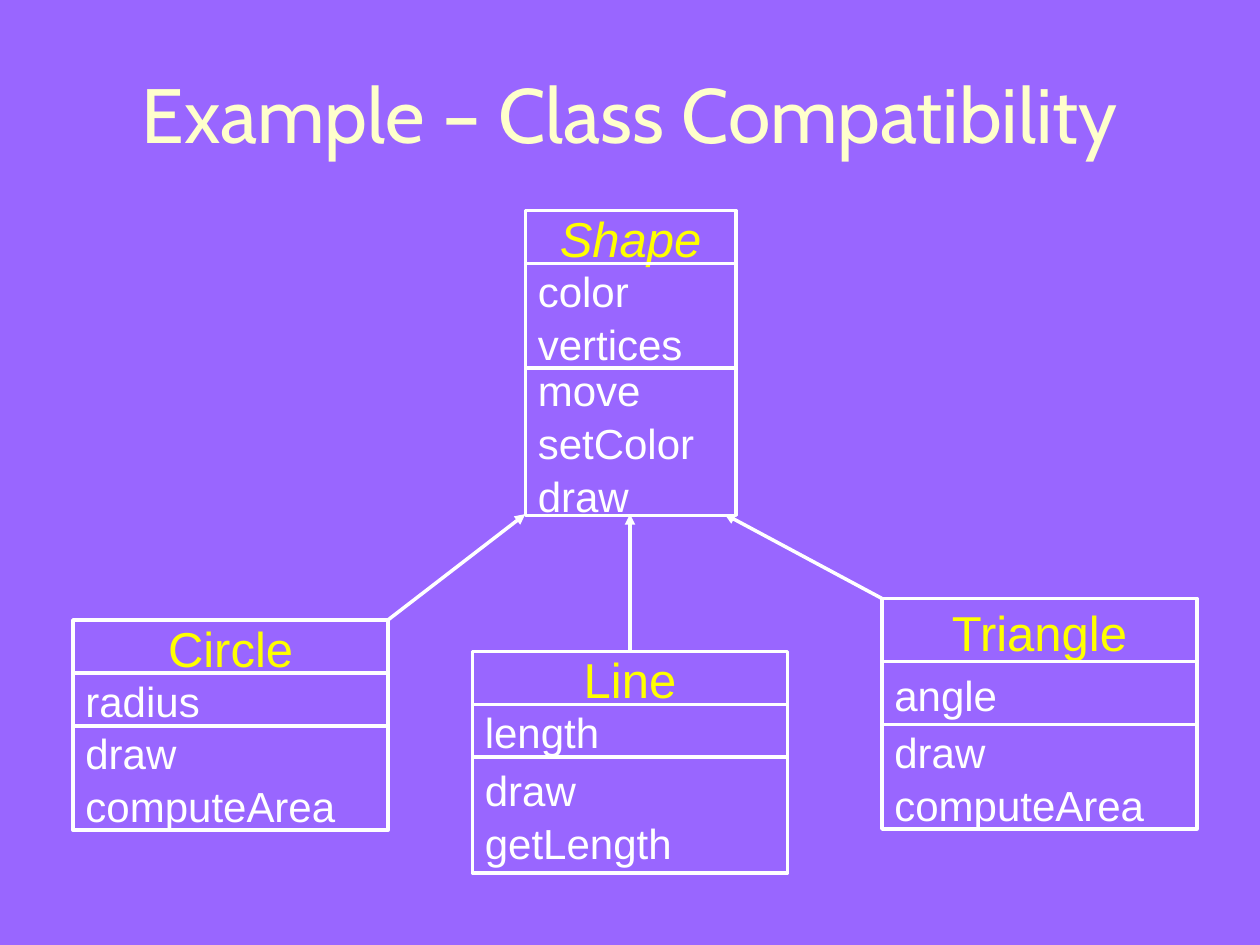
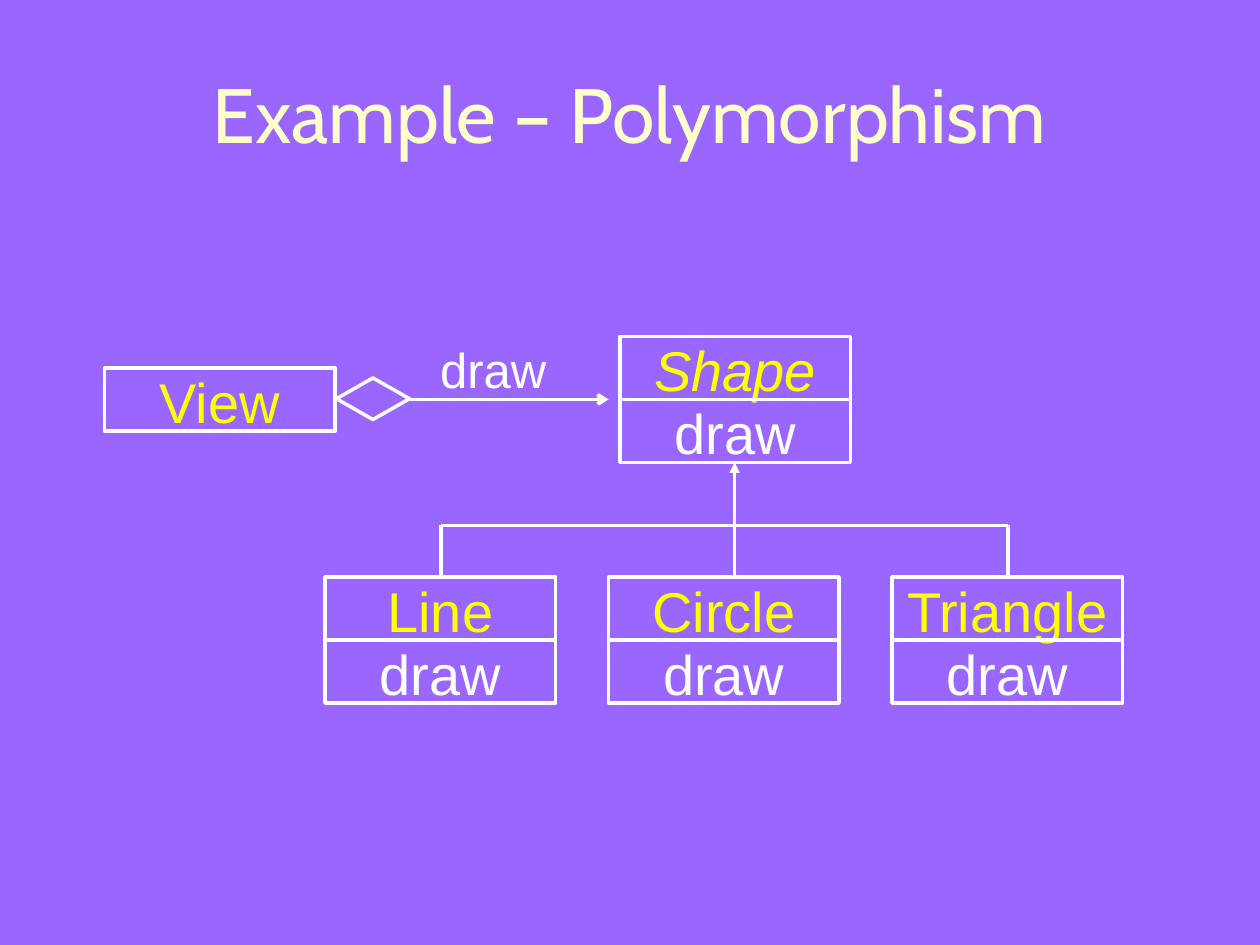
"""Build two slides of class diagrams: class compatibility and polymorphism."""
from lxml import etree
from pptx import Presentation
from pptx.dml.color import RGBColor
from pptx.enum.shapes import MSO_CONNECTOR, MSO_SHAPE
from pptx.enum.text import MSO_ANCHOR, MSO_AUTO_SIZE, PP_ALIGN
from pptx.oxml.ns import qn
from pptx.util import Inches, Pt

RECTANGLE, DIAMOND = MSO_SHAPE.RECTANGLE, MSO_SHAPE.DIAMOND
STRAIGHT = MSO_CONNECTOR.STRAIGHT
LEFT, CENTER = PP_ALIGN.LEFT, PP_ALIGN.CENTER
PURPLE, CREAM, YELLOW, WHITE = "9966FF", "FFFFCC", "FFFF00", "FFFFFF"
LINE_WIDTH = Pt(2)
FRAME_FORMAT = {
    "word_wrap": True,
    "auto_size": MSO_AUTO_SIZE.NONE,
    "vertical_anchor": MSO_ANCHOR.MIDDLE,
    "margin_left": Inches(0.1),
    "margin_right": Inches(0.1),
    "margin_top": Inches(0.05),
    "margin_bottom": Inches(0.05),
}


def write_text(shape, text, size, color, align=CENTER, font="Arial", italic=False):
    frame = shape.text_frame
    frame.text = text
    for name, value in FRAME_FORMAT.items():
        setattr(frame, name, value)
    font_format = {"name": font, "size": Pt(size), "italic": italic, "bold": False}
    for paragraph in frame.paragraphs:
        paragraph.alignment = align
        paragraph.line_spacing = 1.05
        for run in paragraph.runs:
            for name, value in font_format.items():
                setattr(run.font, name, value)
            run.font.color.rgb = RGBColor.from_string(color)


def style_outline(shape):
    shape.line.color.rgb = RGBColor.from_string(WHITE)
    shape.line.width = LINE_WIDTH


DIAGRAMS = [
    {
        "title": "Example – Class Compatibility",
        "name_size": 28, "member_size": 24, "member_align": LEFT,
        "classes": [
            (4.17, 1.67, 1.67, [(0.42, "Shape"), (0.83, "color\nvertices"),
                                (1.17, "move\nsetColor\ndraw")]),
            (0.58, 4.92, 2.5, [(0.42, "Circle"), (0.42, "radius"),
                               (0.83, "draw\ncomputeArea")]),
            (3.75, 5.17, 2.5, [(0.42, "Line"), (0.42, "length"),
                               (0.92, "draw\ngetLength")]),
            (7, 4.75, 2.5, [(0.5, "Triangle"), (0.5, "angle"),
                            (0.83, "draw\ncomputeArea")]),
        ],
        "links": [
            (3.08, 4.92, 4.17, 4.08, "triangle"),
            (5, 5.17, 5, 4.08, "triangle"),
            (7, 4.75, 5.75, 4.08, "triangle"),
        ],
    },
    {
        "title": "Example – Polymorphism",
        "name_size": 32, "member_size": 32, "member_align": CENTER,
        "classes": [
            (0.83, 2.92, 1.83, [(0.5, "View")]),
            (4.92, 2.67, 1.83, [(0.5, "Shape"), (0.5, "draw")]),
        ] + [
            (2.58 + 2.25 * column, 4.58, 1.83, [(0.5, name), (0.5, "draw")])
            for column, name in enumerate(["Line", "Circle", "Triangle"])
        ],
        "links": [
            (5.83, 4.17, 5.83, 3.67, "triangle"),
            (3.5, 4.17, 8, 4.17, None),
            (3.25, 3.17, 4.83, 3.17, "arrow"),
        ] + [(x, 4.17, x, 4.58, None) for x in (3.5, 5.83, 8)],
    },
]

deck = Presentation()
deck.slide_width, deck.slide_height = Inches(10), Inches(7.5)
background = deck.slide_master.background.fill
background.solid()
background.fore_color.rgb = RGBColor.from_string(PURPLE)

for diagram in DIAGRAMS:
    slide = deck.slides.add_slide(deck.slide_layouts[5])
    title = slide.shapes.title
    title.left, title.top = Inches(0.33), Inches(0.25)
    title.width, title.height = Inches(9.34), Inches(1.25)
    write_text(title, diagram["title"], 44, CREAM, font="Cabin")

    for x1, y1, x2, y2, arrowhead in diagram["links"]:
        link = slide.shapes.add_connector(
            STRAIGHT, Inches(x1), Inches(y1), Inches(x2), Inches(y2))
        style_outline(link)
        if arrowhead:
            etree.SubElement(link.line._get_or_add_ln(), qn("a:tailEnd"), type=arrowhead)
        etree.SubElement(link._element.spPr, qn("a:effectLst"))

    for left, top, width, compartments in diagram["classes"]:
        for row, (height, text) in enumerate(compartments):
            compartment = slide.shapes.add_shape(
                RECTANGLE, Inches(left), Inches(top), Inches(width), Inches(height))
            compartment.shadow.inherit = False
            compartment.fill.background()
            style_outline(compartment)
            if row == 0:
                write_text(compartment, text, diagram["name_size"], YELLOW,
                           italic=text == "Shape")
            else:
                write_text(compartment, text, diagram["member_size"], WHITE,
                           diagram["member_align"])
            top += height

aggregation = slide.shapes.add_shape(
    DIAMOND, Inches(2.67), Inches(3), Inches(0.58), Inches(0.33))
aggregation.shadow.inherit = False
aggregation.fill.background()
style_outline(aggregation)

call_label = slide.shapes.add_textbox(Inches(3), Inches(2.67), Inches(1.83), Inches(0.5))
write_text(call_label, "draw", 28, WHITE)

deck.save("out.pptx")
